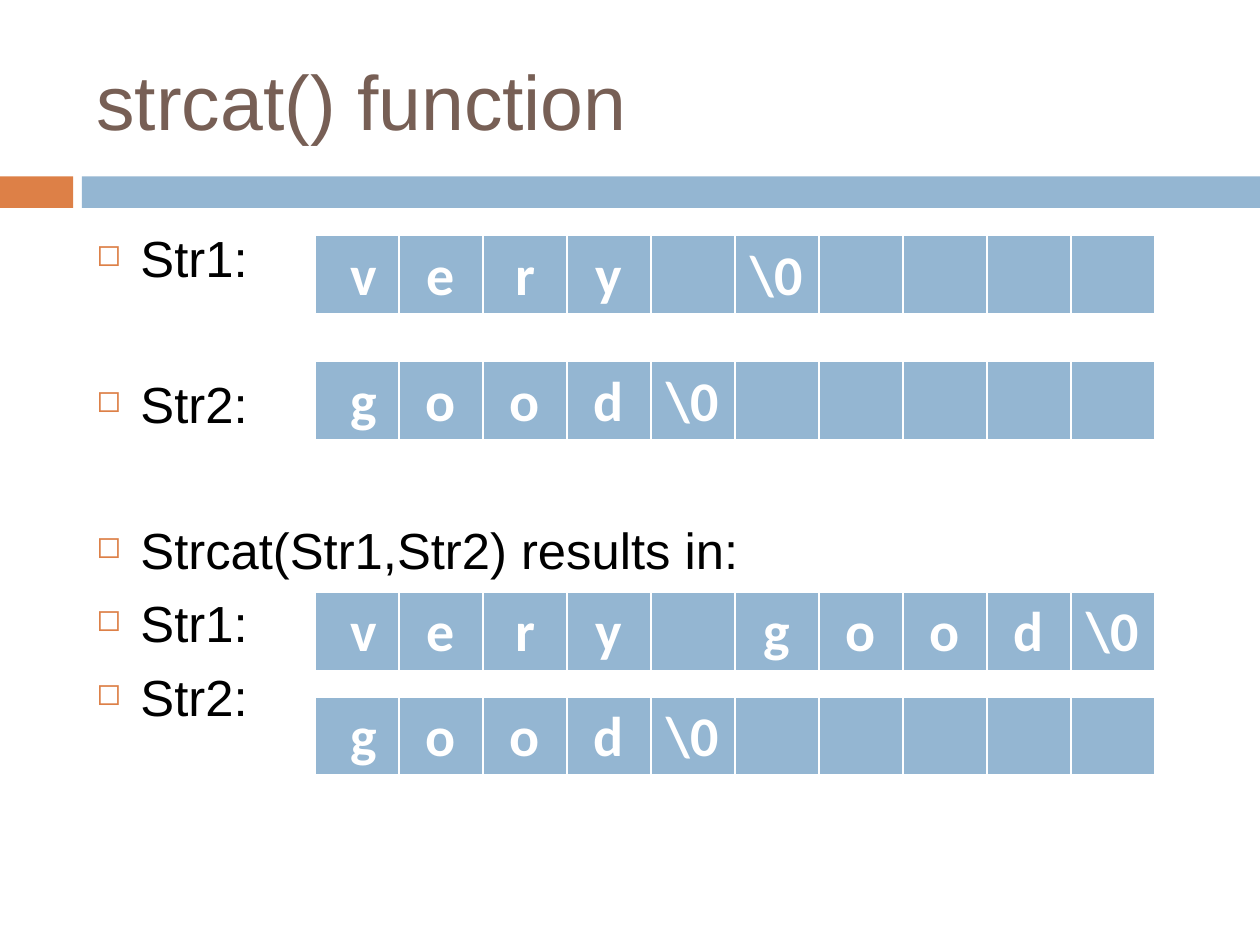
from lxml import etree
from pptx import Presentation
from pptx import util as u
from pptx.dml.color import RGBColor
from pptx.enum import shapes, text
from pptx.oxml import ns

BLUE, RUST, BROWN, WHITE = "94B6D2", "DD8047", "775F55", "FFFFFF"
COLS = 10
COL = 2 / 3
ROW = 0.63


def paint(item, tint):
    item.solid()
    item.fore_color.rgb = RGBColor.from_string(tint)


def write(para, words, font, size, tint, bold=False):
    run = para.add_run()
    run.text = words
    run.font.name = font
    run.font.size = u.Pt(size)
    run.font.bold = bold
    paint(run.font.fill, tint)


deck = Presentation()
deck.slide_width, deck.slide_height = u.Inches(10), u.Inches(7.5)
slide = deck.slides.add_slide(deck.slide_layouts[6])

# Band under the title
for left, wide, tint in ((0, 0.58, RUST), (0.65, 9.35, BLUE)):
    band = slide.shapes.add_shape(
        shapes.MSO_SHAPE.RECTANGLE,
        u.Inches(left), u.Inches(1.4), u.Inches(wide), u.Inches(0.25))
    band.shadow.inherit = False
    paint(band.fill, tint)
    band.line.fill.background()

# Title and body boxes
frames = []
for top, high in ((0.25, 1.08), (1.75, 4.92)):
    box = slide.shapes.add_textbox(
        u.Inches(COL), u.Inches(top), u.Inches(8.92), u.Inches(high))
    box.text_frame.word_wrap = True
    frames.append(box.text_frame)
title, body = frames
title.vertical_anchor = text.MSO_ANCHOR.MIDDLE
write(title.paragraphs[0], "strcat() function", "Arial", 44, BROWN)

# Bulleted labels: a wide gap leaves one line free above
NEAR, WIDE = 7, 48.7
labels = (("Str1:", NEAR), ("Str2:", WIDE),
          ("Strcat(Str1,Str2) results in:", WIDE),
          ("Str1:", NEAR), ("Str2:", NEAR))
for i, (label, gap) in enumerate(labels):
    para = body.paragraphs[0] if i == 0 else body.add_paragraph()
    para.space_before = u.Pt(gap)
    write(para, label, "Arial", 29, "000000")
    props = para._p.get_or_add_pPr()
    props.set("marL", str(u.Inches(0.35)))
    props.set("indent", str(-u.Inches(0.35)))
    hue = etree.SubElement(props, ns.qn("a:buClr"))
    etree.SubElement(hue, ns.qn("a:srgbClr"), val=RUST)
    etree.SubElement(props, ns.qn("a:buSzPct"), val="60000")
    etree.SubElement(props, ns.qn("a:buChar"), char="◻")

# Character arrays, one cell per character
VERY = [" v", "e", "r", "y", ""]
GOOD = ["g", "o", "o", "d", r"\0"]
LONE = [" g"] + GOOD[1:]
arrays = ((1.87, VERY + [r"\0"]), (2.87, LONE),
          (4.7, VERY + GOOD), (5.53, LONE))
EDGES = (("a:lnL", 1), ("a:lnR", 1), ("a:lnT", 1), ("a:lnB", 3))
for top, chars in arrays:
    table = slide.shapes.add_table(
        1, COLS, u.Inches(2.5), u.Inches(top),
        u.Inches(COLS * COL), u.Inches(ROW)).table
    for i in range(COLS):
        cell = table.cell(0, i)
        para = cell.text_frame.paragraphs[0]
        para.alignment = text.PP_ALIGN.CENTER
        if i < len(chars) and chars[i]:
            write(para, chars[i], "Calibri", 32, WHITE, True)
        props = cell._tc.get_or_add_tcPr()
        for tag, width in EDGES:
            edge = etree.SubElement(props, ns.qn(tag), w=str(u.Pt(width)))
            fill = etree.SubElement(edge, ns.qn("a:solidFill"))
            etree.SubElement(fill, ns.qn("a:srgbClr"), val=WHITE)
        paint(cell.fill, BLUE)

deck.save("out.pptx")
